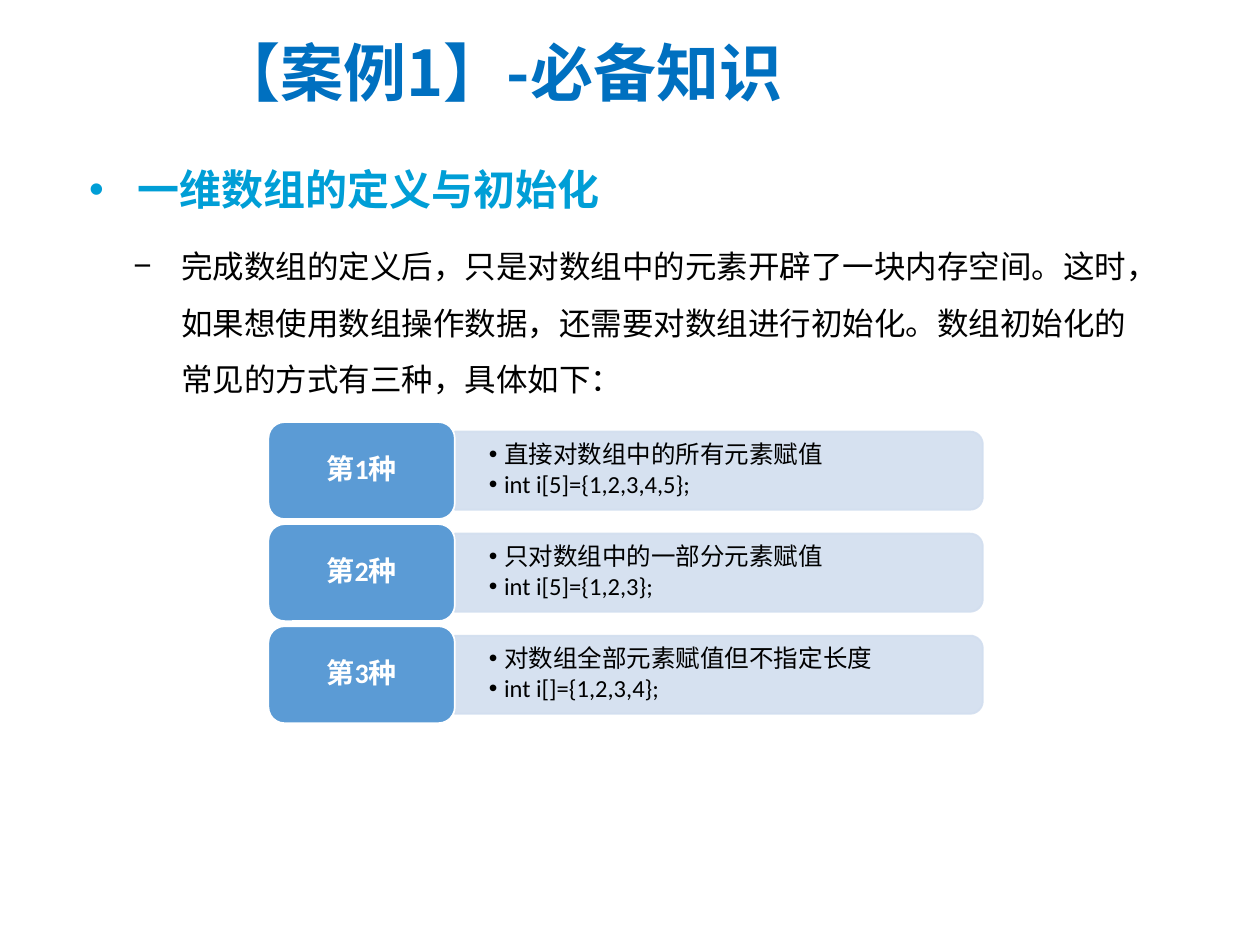
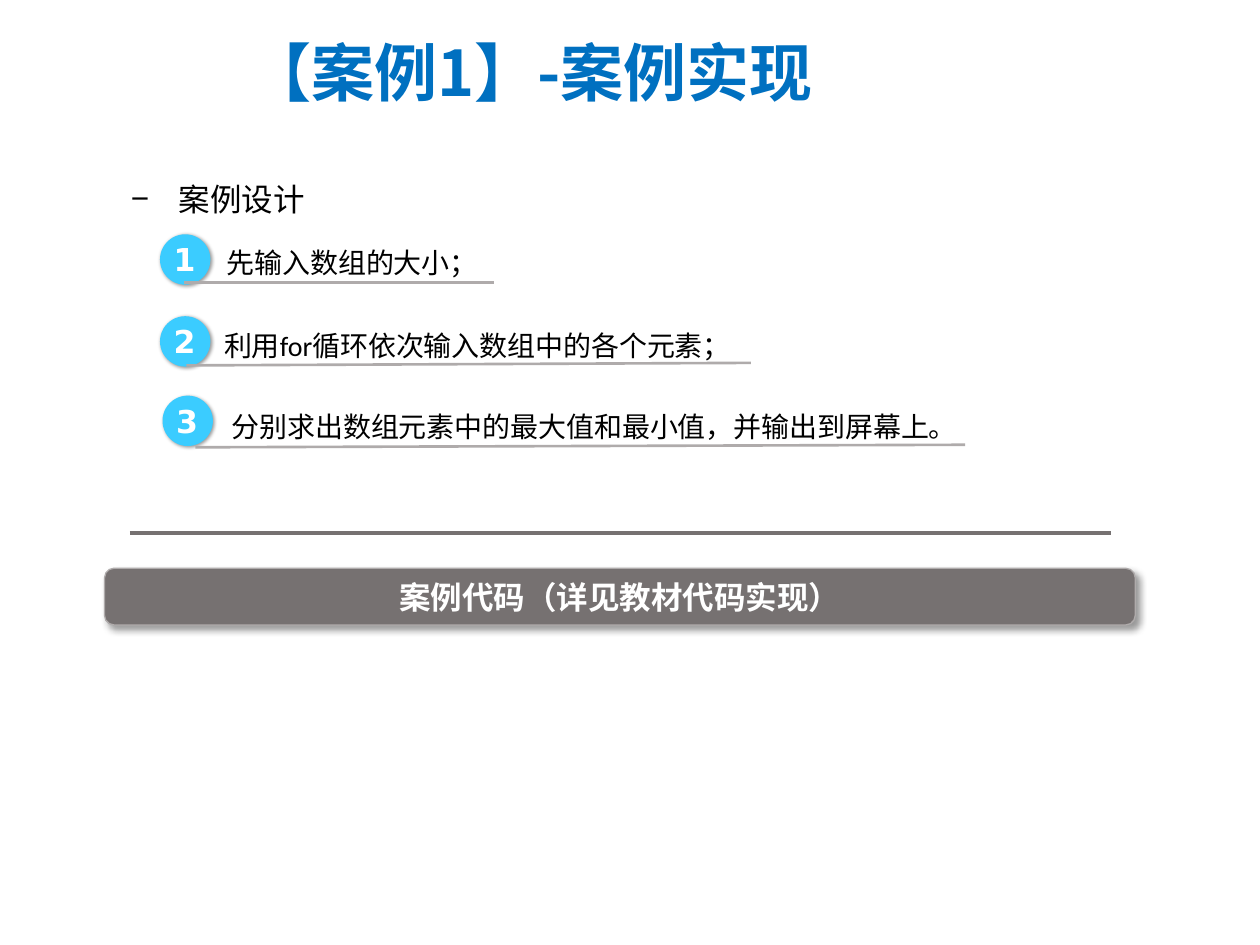
"""Build two lesson slides on defining and initialising one-dimensional arrays."""
from math import cos, pi, sin

from lxml.etree import SubElement
from pptx import Presentation
from pptx.dml.color import RGBColor as RGB
from pptx.enum.shapes import MSO_CONNECTOR as Conn, MSO_SHAPE as Kind
from pptx.enum.text import MSO_ANCHOR as Anchor, MSO_AUTO_SIZE as Fit, PP_ALIGN as Align
from pptx.oxml.ns import qn
from pptx.util import Inches, Pt

BLUE, CYAN, SKY = RGB(0, 0x70, 0xC0), RGB(0, 0x9E, 0xD6), RGB(0x3B, 0xCC, 0xFF)
STEEL, PALE = RGB(0x5B, 0x9B, 0xD5), RGB(0xD2, 0xDE, 0xEF)
GRAY, SILVER = RGB(0x76, 0x71, 0x71), RGB(0xAF, 0xAB, 0xAB)
BLACK, WHITE = RGB(0, 0, 0), RGB(255, 255, 255)
HAN, BODY, DIGIT = "Noto Sans CJK SC", "Calibri", "DejaVu Sans"

TOPIC = "一维数组的定义与初始化"
INTRO = ("完成数组的定义后，只是对数组中的元素开辟了一块内存空间。这时，"
         "如果想使用数组操作数据，还需要对数组进行初始化。数组初始化的"
         "常见的方式有三种，具体如下：")
WAYS = [
    ("第1种", "直接对数组中的所有元素赋值", "int i[5]={1,2,3,4,5};"),
    ("第2种", "只对数组中的一部分元素赋值", "int i[5]={1,2,3};"),
    ("第3种", "对数组全部元素赋值但不指定长度", "int i[]={1,2,3,4};"),
]
STEPS = [
    ("先输入数组的大小；", (1.27, 1.86), (1.7, 1.82, 2.22), (1.46, 2.24, 3.92, 2.24)),
    ("利用for循环依次输入数组中的各个元素；", (1.27, 2.51), (1.68, 2.48, 4.28),
     (1.48, 2.9, 5.96, 2.88)),
    ("分别求出数组元素中的最大值和最小值，并输出到屏幕上。", (1.29, 3.14),
     (1.74, 3.12, 6.04), (1.55, 3.55, 7.66, 3.53)),
]
WAY_X, WAY_Y, WAY_STEP = 2.13, 3.35, 0.81
TAG_W, TAG_H, PANE_W, PANE_H = 1.48, 0.77, 4.19, 0.62


def style(para, size, color, face=BODY, bold=False, hang=0, mark=None,
          lead=None, after=0, align=Align.LEFT):
    props = para._p.get_or_add_pPr()
    if hang:
        props.set("marL", str(Inches(hang)))
        props.set("indent", str(-Inches(hang)))
    para.alignment = align
    if lead:
        para.line_spacing = lead
    para.space_after = Pt(after)
    if mark:
        SubElement(props, qn("a:buFont"), typeface="Arial")
        SubElement(props, qn("a:buChar"), char=mark)
    font = para.font
    font.size, font.bold, font.name = Pt(size), bold, face
    font.color.rgb = color
    SubElement(props.find(qn("a:defRPr")), qn("a:ea"), typeface=HAN)


def write(shape, lines, size, color, **look):
    frame = shape.text_frame
    for num, line in enumerate(lines):
        para = frame.add_paragraph() if num else frame.paragraphs[0]
        para.text = line
        style(para, size, color, **look)


def label(slide, spot, text, size, color, wrap=False, grow=True, **look):
    box = slide.shapes.add_textbox(*map(Inches, spot))
    frame = box.text_frame
    frame.word_wrap = wrap
    frame.auto_size = Fit.SHAPE_TO_FIT_TEXT if grow else Fit.NONE
    write(box, [text], size, color, **look)
    return box


def paint(shape, fill, edge=None, width=1):
    shape.shadow.inherit = False
    shape.fill.solid()
    shape.fill.fore_color.rgb = fill
    if edge is None:
        shape.line.fill.background()
    else:
        shape.line.color.rgb = edge
        shape.line.width = Pt(width)
    shape.text_frame.vertical_anchor = Anchor.MIDDLE
    shape.text_frame.word_wrap = True
    return shape


def block(slide, kind, spot, fill, edge=None, width=1):
    return paint(slide.shapes.add_shape(kind, *map(Inches, spot)), fill, edge, width)


def shade(shape, blur, dist):
    glow = SubElement(shape._element.spPr.find(qn("a:effectLst")), qn("a:outerShdw"),
                      blurRad=str(Pt(blur)), dist=str(Pt(dist)), dir="2700000",
                      algn="tl", rotWithShape="0")
    tint = SubElement(glow, qn("a:srgbClr"), val="000000")
    SubElement(tint, qn("a:alpha"), val="40000")


def rule(slide, ends, color, width):
    line = slide.shapes.add_connector(Conn.STRAIGHT, *map(Inches, ends))
    line.line.color.rgb = color
    line.line.width = Pt(width)
    SubElement(line._element.spPr, qn("a:effectLst"))


def inset(shape, left, top, right):
    frame = shape.text_frame
    frame.margin_left, frame.margin_right = Inches(left), Inches(right)
    frame.margin_top = frame.margin_bottom = Inches(top)


def pane(slide, x, y, wide, high, curve=0.1):
    """Draw a panel whose right-hand corners are round."""
    turns = [pi / 2 * k / 8 for k in range(9)]
    bend = x + wide - curve
    dots = [(bend + curve * sin(t), y + curve - curve * cos(t)) for t in turns]
    dots += [(bend + curve * cos(t), y + high - curve + curve * sin(t)) for t in turns]
    dots.append((x, y + high))
    pen = slide.shapes.build_freeform(Inches(x), Inches(y))
    pen.add_line_segments([(Inches(a), Inches(b)) for a, b in dots], close=True)
    shape = paint(pen.convert_to_shape(), PALE, PALE)
    for tint in shape._element.spPr.iter(qn("a:srgbClr")):
        SubElement(tint, qn("a:alpha"), val="90000")
    return shape


def start(deck, part, left, wide):
    slide = deck.slides.add_slide(deck.slide_layouts[6])
    box = label(slide, (left, 0.15, wide, 0.84), f"【案例1】-{part}", 36, BLUE,
                wrap=True, grow=False, face=HAN, bold=True, hang=0.62)
    box.text_frame.vertical_anchor = Anchor.MIDDLE
    return slide


def basics(deck):
    slide = start(deck, "必备知识", 1.63, 5.63)
    label(slide, (0.61, 1.05, 4.3, 0.71), TOPIC, 24, CYAN, bold=True,
          hang=0.38, mark="•", lead=1.5)
    label(slide, (0.96, 1.76, 8.3, 1.41), INTRO, 18, BLACK, wrap=True,
          hang=0.38, mark="−", lead=1.5)
    for row, (name, *notes) in enumerate(WAYS):
        top = WAY_Y + row * WAY_STEP
        back = pane(slide, WAY_X + TAG_W, top + (TAG_H - PANE_H) / 2, PANE_W, PANE_H)
        inset(back, 0.27, 0.17, 0.3)
        write(back, notes, 14, BLACK, hang=0.12, mark="•", lead=0.9, after=2)
        tag = block(slide, Kind.ROUNDED_RECTANGLE, (WAY_X, top, TAG_W, TAG_H), STEEL, WHITE)
        inset(tag, 0.1, 0.07, 0.1)
        write(tag, [name], 16, WHITE, bold=True, lead=0.9, align=Align.CENTER)


def design(deck):
    slide = start(deck, "案例实现", 1.87, 5.09)
    bar = block(slide, Kind.ROUNDED_RECTANGLE, (0.83, 4.51, 8.18, 0.45), GRAY, SILVER, 0.75)
    shade(bar, 4, 3)
    write(bar, ["案例代码（详见教材代码实现）"], 18, WHITE, bold=True, align=Align.CENTER)
    label(slide, (0.94, 1.23, 8.51, 0.48), "案例设计", 18, BLACK, wrap=True,
          face="Arial", hang=0.38, mark="−", lead=1.5)
    rule(slide, (1.03, 4.23, 8.82, 4.23), GRAY, 2.25)
    for num, (text, (x, y), spot, ends) in enumerate(STEPS, 1):
        shade(block(slide, Kind.OVAL, (x, y, 0.4, 0.4), SKY), 2, 1)
        label(slide, (x + 0.01, y, 0.38, 0.4), str(num), 18, WHITE, face=DIGIT, bold=True)
        rule(slide, ends, SILVER, 1.5)
        label(slide, (*spot, 0.45), text, 16, BLACK, lead=1.3, after=3)


def main():
    deck = Presentation()
    deck.slide_width, deck.slide_height = Inches(10), Inches(7.5)
    basics(deck)
    design(deck)
    deck.save("out.pptx")


if __name__ == "__main__":
    main()
